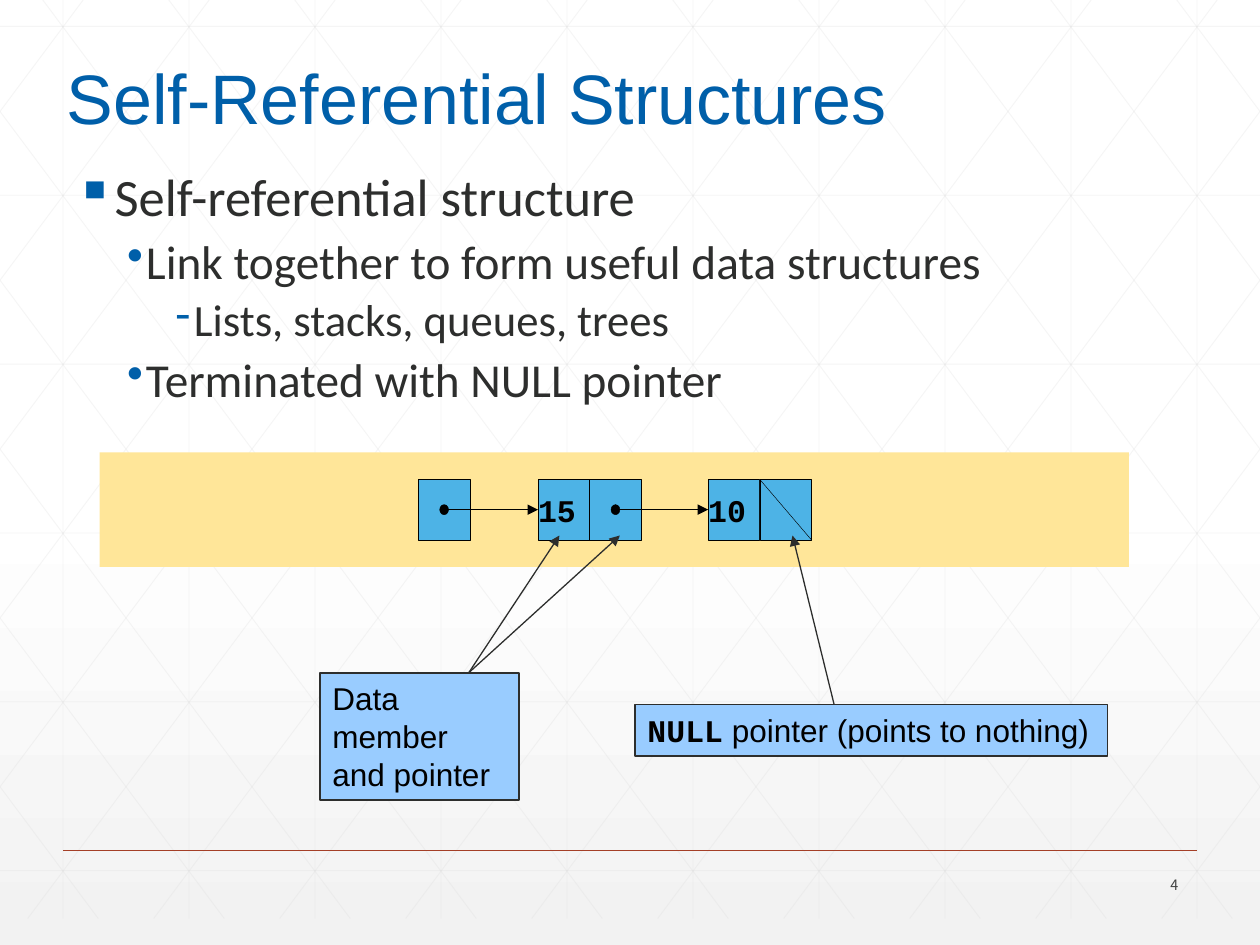
from lxml.etree import SubElement
from pptx import Presentation
from pptx.dml.color import RGBColor
from pptx.enum.shapes import MSO_CONNECTOR, MSO_SHAPE
from pptx.enum.text import MSO_ANCHOR, PP_ALIGN
from pptx.oxml.ns import qn
from pptx.util import Inches, Pt

BLUE, INK, CELL, LABEL = "005FA9", "2D2E2D", "4DB3E6", "99CCFF"
CELL_W, CELL_H = 0.41, 0.48
BULLETS = [
    ("Self-referential structure", "▪", 30, 0.19, 0.19, 0),
    ("Link together to form useful data structures", "•", 27, 0.56, 0.15, 6),
    ("Lists, stacks, queues, trees", "‐", 25.5, 0.94, 0.15, 4.5),
    ("Terminated with NULL pointer", "•", 27, 0.56, 0.15, 6),
]


def rgb(color):
    """Turn a hex string into a colour."""
    return RGBColor.from_string(color)


def set_font(target, size, name, color, bold=False):
    """Format the font of a paragraph or run."""
    font = target.font
    font.size, font.name, font.bold = Pt(size), name, bold
    font.color.rgb = rgb(color)


def add_line(shapes, start, end, color, width, arrow=False, alpha=None):
    """Draw a straight line between two points given in inches."""
    line = shapes.add_connector(
        MSO_CONNECTOR.STRAIGHT, *(Inches(value) for value in (*start, *end)))
    line.line.color.rgb = rgb(color)
    line.line.width = Pt(width)
    properties = line.element.spPr
    outline = properties.find(qn("a:ln"))
    if alpha:
        tint = outline.find(".//" + qn("a:srgbClr"))
        SubElement(tint, qn("a:alpha"), val=str(alpha * 1000))
    if arrow:
        SubElement(outline, qn("a:tailEnd"), type="triangle")
    SubElement(properties, qn("a:effectLst"))
    return line


def add_block(shapes, kind, box, fill, outline=None, width=0.25):
    """Draw a filled preset shape in a box given in inches."""
    block = shapes.add_shape(kind, *(Inches(value) for value in box))
    block.shadow.inherit = False
    block.fill.solid()
    block.fill.fore_color.rgb = rgb(fill)
    if outline:
        block.line.color.rgb = rgb(outline)
        block.line.width = Pt(width)
    else:
        block.line.fill.background()
    return block


def add_backdrop(slide, width, height):
    """Fill the background and draw the faint triangular lattice."""
    fill = slide.background.fill
    fill.gradient()
    fill.gradient_angle = 270
    for stop, position, color in zip(
            fill.gradient_stops, (0.53, 1), ("FFFFFF", "F2F2F2")):
        stop.position = position
        stop.color.rgb = rgb(color)

    slope = 1.34
    segments = [((0.5 + i, 0), (0.5 + i, height)) for i in range(10)]
    segments += [((0, 0.21 + slope * i), (width, 0.21 + slope * i))
                 for i in range(6)]
    for i in range(-5, 10):
        top_x = 0.34 + i
        left, right = max(top_x, 0), min(top_x + height / slope, width)
        top, bottom = (left - top_x) * slope, (right - top_x) * slope
        segments.append(((left, top), (right, bottom)))
        segments.append(((width - left, top), (width - right, bottom)))
    lattice = slide.shapes.add_group_shape().shapes
    for start, end in segments:
        add_line(lattice, start, end, "D9D9D9", 0.5, alpha=25)


def add_title(slide, left, top, width, height):
    """Place the slide title in front of the backdrop."""
    title = slide.shapes.title
    slide.shapes.element.append(title.element)
    title.left, title.top = Inches(left), Inches(top)
    title.width, title.height = Inches(width), Inches(height)
    frame = title.text_frame
    frame.text = "Self-Referential Structures"
    frame.word_wrap = False
    frame.vertical_anchor = MSO_ANCHOR.TOP
    heading = frame.paragraphs[0]
    heading.alignment = PP_ALIGN.LEFT
    set_font(heading, 40, "Arial", BLUE)


def add_outline(slide, left, top, width, height):
    """Write the bulleted outline."""
    frame = slide.shapes.add_textbox(
        Inches(left), Inches(top), Inches(width), Inches(height)).text_frame
    frame.word_wrap = True
    for i, (text, bullet, size, margin, hang, before) in enumerate(BULLETS):
        point = frame.add_paragraph() if i else frame.paragraphs[0]
        point.text = text
        properties = point._p.get_or_add_pPr()
        properties.set("marL", str(Inches(margin)))
        properties.set("indent", str(-Inches(hang)))
        bullet_color = SubElement(properties, qn("a:buClr"))
        SubElement(bullet_color, qn("a:srgbClr"), val=BLUE)
        SubElement(properties, qn("a:buChar"), char=bullet)
        point.line_spacing = 0.9
        point.space_before = Pt(before)
        set_font(point, size, "Calibri", INK)


def add_linked_list(slide, left, top, width, height):
    """Draw the linked list on its band."""
    shapes = slide.shapes.add_group_shape().shapes
    add_block(shapes, MSO_SHAPE.RECTANGLE, (left, top, width, height), "FFE699")
    cell_top = top + (height - CELL_H) / 2
    middle = top + height / 2

    def add_cell(x, value=""):
        """Draw one memory cell."""
        cell = add_block(shapes, MSO_SHAPE.RECTANGLE,
                         (x, cell_top, CELL_W, CELL_H), CELL, "000000")
        if value:
            frame = cell.text_frame
            frame.margin_left = frame.margin_right = 0
            frame.text = value
            set_font(frame.paragraphs[0], 18, "Courier New", "000000", True)
        return cell

    def add_pointer(x, target):
        """Draw a dot in the cell at x and an arrow to the target cell."""
        center = x + CELL_W / 2
        add_block(shapes, MSO_SHAPE.OVAL,
                  (center - 0.035, middle - 0.04, 0.07, 0.08), "000000", "000000")
        arrow = add_line(shapes, (center, middle), (center + 0.75, middle),
                         "000000", 0.25, arrow=True)
        arrow.end_connect(target, 1)

    head, first, second = left + 2.53, left + 3.48, left + 4.83
    add_cell(head)
    first_data = add_cell(first, "15")
    add_cell(first + CELL_W)
    second_data = add_cell(second, "10")
    null = second + CELL_W
    add_cell(null)
    add_pointer(head, first_data)
    add_pointer(first + CELL_W, second_data)
    add_line(shapes, (null, cell_top), (null + CELL_W, cell_top + CELL_H),
             "000000", 0.25)


def add_callout(slide, box, runs, start_x, targets):
    """Draw a label with arrows from its top edge to the targets."""
    shapes = slide.shapes.add_group_shape().shapes
    label = add_block(shapes, MSO_SHAPE.RECTANGLE, box, LABEL, INK, 0.75)
    frame = label.text_frame
    frame.word_wrap = True
    frame.vertical_anchor = MSO_ANCHOR.TOP
    caption = frame.paragraphs[0]
    caption.alignment = PP_ALIGN.LEFT
    for text, font_name, bold in runs:
        run = caption.add_run()
        run.text = text
        set_font(run, 18, font_name, "000000", bold)
    for target in targets:
        add_line(shapes, (start_x, box[1]), target, INK, 0.75, arrow=True)


def add_footer(slide, left, top, width):
    """Draw the footer rule and the slide number."""
    add_line(slide.shapes, (left, top), (left + width, top), "A43F27", 1)
    frame = slide.shapes.add_textbox(
        Inches(left + width - 0.8), Inches(top + 0.15),
        Inches(0.75), Inches(0.24)).text_frame
    frame.word_wrap = True
    frame.vertical_anchor = MSO_ANCHOR.MIDDLE
    frame.text = "4"
    number = frame.paragraphs[0]
    number.alignment = PP_ALIGN.RIGHT
    set_font(number, 8.2, "Noto Sans CJK TC", "424342")


def main():
    """Build and save the slide."""
    deck = Presentation()
    deck.slide_width, deck.slide_height = Inches(10), Inches(7.5)
    slide = deck.slides.add_slide(deck.slide_layouts[5])
    add_backdrop(slide, 10, 7.29)
    add_footer(slide, 0.5, 6.75, 9)
    add_title(slide, 0.43, 0.38, 6.78, 0.77)
    add_outline(slide, 0.5, 1.31, 9.22, 5.35)
    add_linked_list(slide, 0.79, 3.59, 8.17, 0.91)
    add_callout(slide, (5.04, 5.59, 3.75, 0.41),
                [("NULL", "Courier New", True),
                 (" pointer (points to nothing)", "Arial", False)],
                6.62, [(6.29, 4.25)])
    add_callout(slide, (2.54, 5.34, 1.58, 1.01),
                [("Data member and pointer", "Arial", False)],
                3.72, [(4.44, 4.25), (4.92, 4.25)])
    deck.save("out.pptx")


if __name__ == "__main__":
    main()
